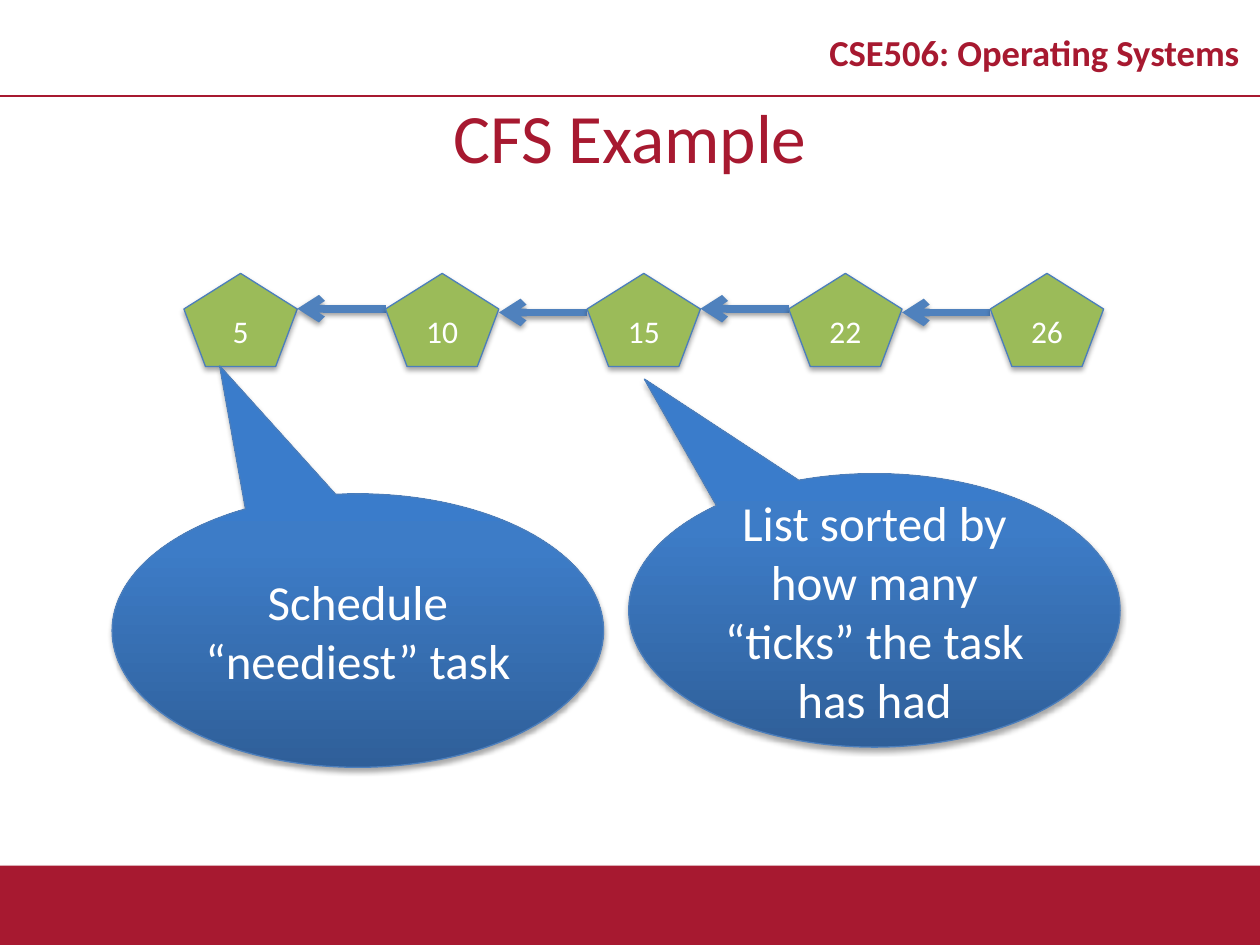
from copy import deepcopy

from lxml.etree import SubElement
from pptx import Presentation
from pptx.dml.color import RGBColor
from pptx.enum.shapes import MSO_CONNECTOR as CONN, MSO_SHAPE as SHAPE
from pptx.enum.text import MSO_ANCHOR as ANCHOR, PP_ALIGN as ALIGN
from pptx.oxml.ns import qn
from pptx.util import Inches, Pt

CRIMSON, GREEN, WHITE = "A71930", "9BBB59", "FFFFFF"
ARROW_BLUE, EDGE_BLUE = "4F81BD", "4B7EBC"
GRADIENT = [(0, "2F5F99"), (0.8, "3D7CC7"), (1, "3A7CCB")]

TICKS = [5, 10, 15, 22, 26]
TASK_X, TASK_Y, TASK_W, TASK_H, TASK_STEP = 1.46, 2.17, 0.9, 0.74, 1.6
ARROW_Y = [2.45, 2.48]
CALLOUT_W, CALLOUT_H = 3.9, 2.17
CALLOUTS = [
    (4.99, 3.76, (-0.468, -0.846), "List sorted by how many “ticks” the task has had"),
    (0.89, 3.92, (-0.281, -0.968), "Schedule “neediest” task"),
]


def rgb(value):
    """Turn a hex string into a colour."""
    return RGBColor.from_string(value)


def write(s, text, size, color=WHITE, bold=False, spacing=None):
    """Write one centred paragraph in the middle of a shape."""
    tf = s.text_frame
    tf.word_wrap = True
    tf.vertical_anchor = ANCHOR.MIDDLE
    p = tf.paragraphs[0]
    p.alignment = ALIGN.CENTER
    p.line_spacing = spacing
    r = p.add_run()
    r.text = text
    formats = {"name": "Calibri", "size": Pt(size), "bold": bold}
    for name, value in formats.items():
        setattr(r.font, name, value)
    r.font.color.rgb = rgb(color)


def add_shadow(effects, alpha=35, dist=1.8):
    """Put a soft downward shadow into an effect list."""
    shadow = SubElement(effects, qn("a:outerShdw"), blurRad=str(Pt(3.1)),
                        dist=str(Pt(dist)), dir="5400000", rotWithShape="0")
    color = SubElement(shadow, qn("a:srgbClr"), val="000000")
    SubElement(color, qn("a:alpha"), val=str(alpha * 1000))


def add_block(slide, kind, x, y, w, h, fill=None, edge=None):
    """Add a shadowed preset shape."""
    s = slide.shapes.add_shape(kind, Inches(x), Inches(y), Inches(w), Inches(h))
    if fill:
        s.fill.solid()
        s.fill.fore_color.rgb = rgb(fill)
    if edge:
        s.line.color.rgb = rgb(edge)
        s.line.width = Pt(0.75)
    else:
        s.line.fill.background()
    s.shadow.inherit = False
    add_shadow(s.element.spPr.find(qn("a:effectLst")))
    return s


def add_line(slide, x1, y1, x2, y2, color, width):
    """Add a straight line and return it with its effect list."""
    s = slide.shapes.add_connector(CONN.STRAIGHT, Inches(x1), Inches(y1),
                                   Inches(x2), Inches(y2))
    s.line.color.rgb = rgb(color)
    s.line.width = Pt(width)
    return s, SubElement(s.element.spPr, qn("a:effectLst"))


def add_arrow(slide, x1, x2, y):
    """Add a thick horizontal arrow that ends at x2."""
    s, effects = add_line(slide, x1, y, x2, y, ARROW_BLUE, 4.5)
    SubElement(s.element.spPr.find(qn("a:ln")), qn("a:tailEnd"), type="arrow")
    add_shadow(effects, 38, 1.6)


def add_task(slide, x, ticks):
    """Add a task pentagon labelled with its ticks."""
    s = add_block(slide, SHAPE.REGULAR_PENTAGON, x, TASK_Y, TASK_W, TASK_H, GREEN, EDGE_BLUE)
    write(s, str(ticks), 18)


def add_callout(slide, x, y, tip, text):
    """Add an oval callout with a vertical gradient."""
    s = add_block(slide, SHAPE.OVAL_CALLOUT, x, y, CALLOUT_W, CALLOUT_H, edge=EDGE_BLUE)
    for i, value in enumerate(tip):
        s.adjustments[i] = value
    s.fill.gradient()
    s.fill.gradient_angle = 90
    stops = s.element.spPr.find(".//" + qn("a:gsLst"))
    stops.append(deepcopy(stops[-1]))
    for stop, (position, color) in zip(s.fill.gradient_stops, GRADIENT):
        stop.position = position
        stop.color.rgb = rgb(color)
    write(s, text, 28)


def add_frame(slide):
    """Add the course header, its rule, the footer band and the title."""
    add_block(slide, SHAPE.RECTANGLE, 0, 6.87, 10, 0.63, CRIMSON)
    add_line(slide, 0, 0.76, 10, 0.76, CRIMSON, 1)
    s = slide.shapes.add_textbox(Inches(6.42), Inches(0.13), Inches(3.58), Inches(0.63))
    write(s, "CSE506: Operating Systems", 20.9, CRIMSON, bold=True, spacing=0.8)
    title = slide.shapes.title
    box = {"left": 0, "top": 0.76, "width": 10, "height": 0.63}
    for name, value in box.items():
        setattr(title, name, Inches(value))
    write(title, "CFS Example", 39.6, CRIMSON)


def main():
    """Build the slide."""
    prs = Presentation()
    prs.slide_width, prs.slide_height = Inches(10), Inches(7.5)
    slide = prs.slides.add_slide(prs.slide_layouts[5])
    add_frame(slide)
    for i, ticks in enumerate(TICKS):
        x = TASK_X + i * TASK_STEP
        if i:
            add_arrow(slide, x, x - TASK_STEP + TASK_W, ARROW_Y[(i - 1) % 2])
        add_task(slide, x, ticks)
    for callout in CALLOUTS:
        add_callout(slide, *callout)
    prs.save("out.pptx")


if __name__ == "__main__":
    main()
